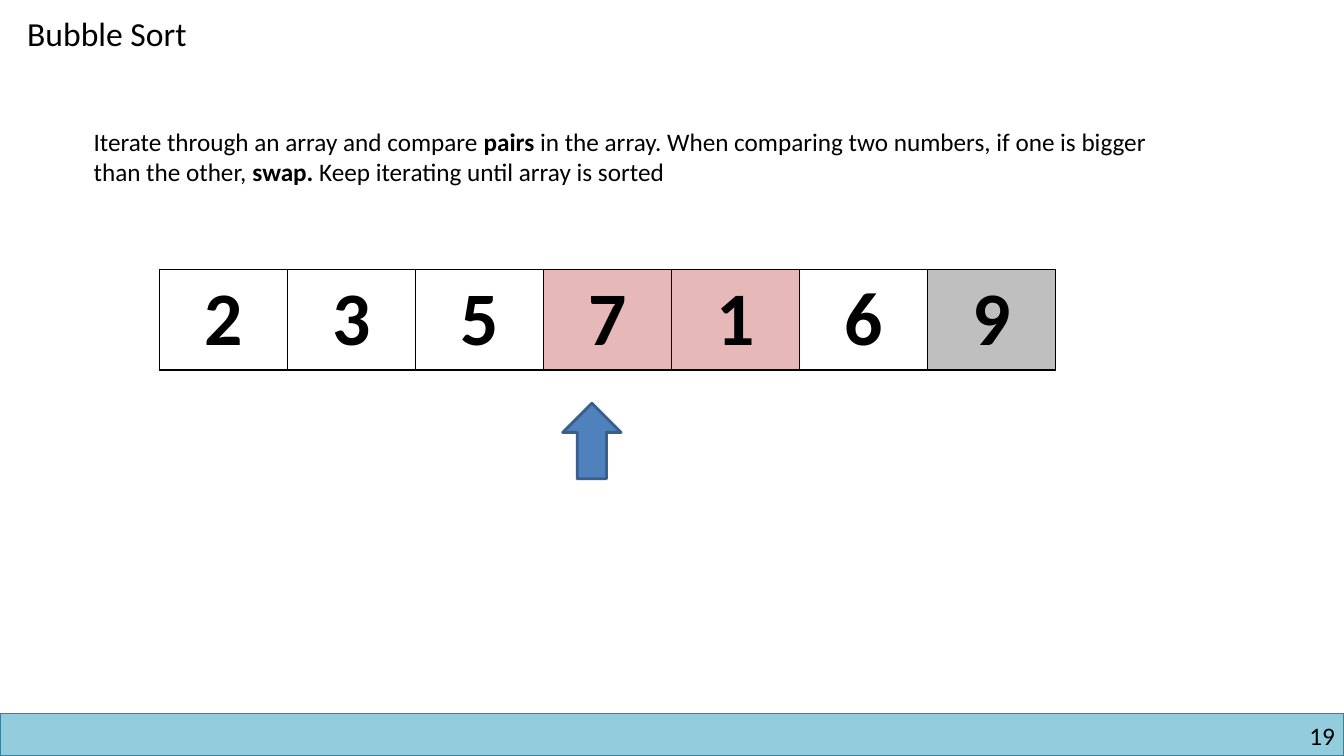
from lxml.etree import SubElement
from pptx import Presentation
from pptx.dml.color import RGBColor
from pptx.enum.shapes import MSO_SHAPE as Shape
from pptx.enum.text import MSO_ANCHOR as Anchor, MSO_AUTO_SIZE as AutoSize, PP_ALIGN as Align
from pptx.oxml.ns import qn
from pptx.util import Inches, Pt

NUMBERS = [2, 3, 5, 7, 1, 6, 9]
COMPARED = {3, 4}
SORTED = {6}


def color(value):
    return RGBColor.from_string(value)


def write(frame, text, size=18, bold=False, align=Align.LEFT, wrap=True, font="Calibri", ink="000000"):
    frame.word_wrap = wrap
    paragraph = frame.paragraphs[0]
    paragraph.alignment = align
    pieces = [(text, bold)] if isinstance(text, str) else text
    for words, heavy in pieces:
        run = paragraph.add_run()
        run.text = words
        run.font.name = font
        run.font.size = Pt(size)
        run.font.bold = heavy
        run.font.color.rgb = color(ink)


class SortSlide:
    white = "FFFFFF"
    compared = "E6B9B8"
    sorted = "BFBFBF"
    border = "000000"

    def __init__(self, presentation):
        self.slide = presentation.slides.add_slide(presentation.slide_layouts[5])

    def title(self, text, left, top, width, height):
        title = self.slide.shapes.title
        title.left, title.top, title.width, title.height = map(Inches, (left, top, width, height))
        frame = title.text_frame
        frame.auto_size = AutoSize.NONE
        frame.vertical_anchor = Anchor.TOP
        write(frame, text, size=24, wrap=False)

    def text(self, text, left, top, width, height, margin=None, **style):
        box = self.slide.shapes.add_textbox(*map(Inches, (left, top, width, height)))
        frame = box.text_frame
        if margin is not None:
            frame.margin_left = frame.margin_right = Inches(margin)
            frame.margin_top = frame.margin_bottom = Inches(margin)
        write(frame, text, **style)

    def shape(self, kind, left, top, width, height, fill, line, weight):
        shape = self.slide.shapes.add_shape(kind, *map(Inches, (left, top, width, height)))
        shape.shadow.inherit = False
        shape.fill.solid()
        shape.fill.fore_color.rgb = color(fill)
        shape.line.color.rgb = color(line)
        shape.line.width = Pt(weight)

    def cell_borders(self, cell):
        properties = cell._tc.get_or_add_tcPr()
        for position, side in enumerate(("a:lnL", "a:lnR", "a:lnT", "a:lnB")):
            line = properties.makeelement(qn(side), {"w": str(Pt(1))})
            fill = SubElement(line, qn("a:solidFill"))
            SubElement(fill, qn("a:srgbClr"), val=self.border)
            properties.insert(position, line)

    def array(self, numbers, left, top, cell_width, height):
        frame = self.slide.shapes.add_table(
            1, len(numbers), Inches(left), Inches(top), Inches(cell_width * len(numbers)), Inches(height))
        table = frame.table
        table.first_row = table.horz_banding = False
        for index, number in enumerate(numbers):
            table.columns[index].width = Inches(cell_width)
            cell = table.cell(0, index)
            cell.margin_top = cell.margin_bottom = Inches(0.04)
            cell.vertical_anchor = Anchor.MIDDLE
            write(cell.text_frame, str(number), size=54, bold=True, align=Align.CENTER)
            fill = self.compared if index in COMPARED else self.sorted if index in SORTED else self.white
            cell.fill.solid()
            cell.fill.fore_color.rgb = color(fill)
            self.cell_borders(cell)


def main():
    presentation = Presentation()
    presentation.slide_width = Inches(13.33)
    presentation.slide_height = Inches(7.5)
    page = SortSlide(presentation)
    page.shape(Shape.RECTANGLE, 0, 7.08, 13.33, 0.42, fill="93CDDD", line="31859C", weight=1)
    page.text("19", 10.17, 7.15, 3.07, 0.3, margin=0, align=Align.RIGHT)
    page.title("Bubble Sort", 0.17, 0.08, 1.96, 0.5)
    page.text([
        ("Iterate through an array and compare ", False),
        ("pairs", True),
        (" in the array. When comparing two numbers, if one is bigger than the other, ", False),
        ("swap. ", True),
        ("Keep iterating until array is sorted", False),
    ], 0.83, 1.2, 11.08, 0.71)
    page.array(NUMBERS, 1.58, 2.67, cell_width=1.27, height=1)
    page.shape(Shape.UP_ARROW, 5.58, 4, 0.58, 0.75, fill="4F81BD", line="3A5F8C", weight=2)
    presentation.save("out.pptx")


if __name__ == "__main__":
    main()
